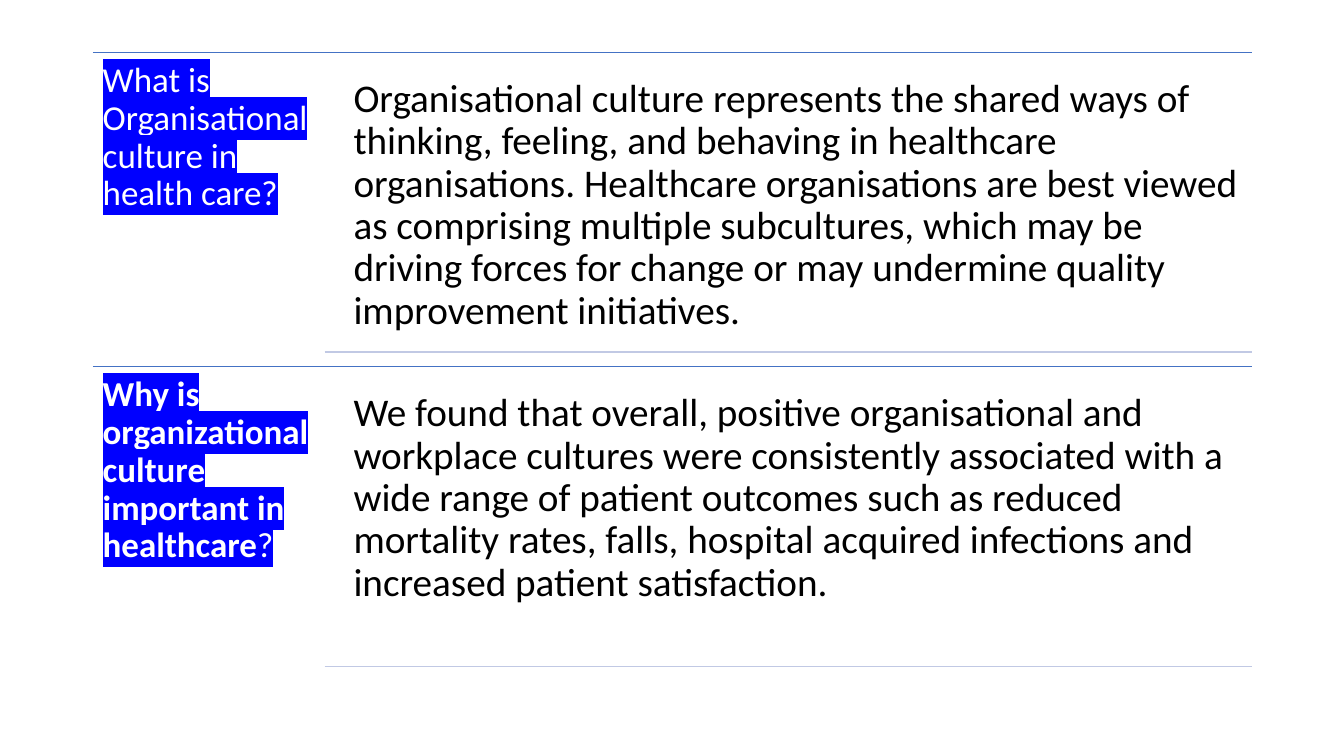
from dataclasses import dataclass

import lxml.etree
import pptx
import pptx.dml.color
import pptx.enum.shapes
import pptx.enum.text
import pptx.oxml.ns
import pptx.util

Cm = pptx.util.Cm
Pt = pptx.util.Pt
qn = pptx.oxml.ns.qn


@dataclass(frozen=True)
class Theme:
    font: str = "Calibri"
    question_size: int = 25
    answer_size: int = 28
    question_color: str = "FFFFFF"
    answer_color: str = "000000"
    highlight: str = "0000FF"
    strong_rule: str = "4472C4"
    soft_rule: str = "C1C9E4"
    rule_width: int = 1
    line_spacing: float = 0.9


class Page:
    def __init__(self, deck, theme):
        self.theme = theme
        self.slide = deck.slides.add_slide(deck.slide_layouts[6])

    def rule(self, left, right, top, color):
        line = self.slide.shapes.add_connector(
            pptx.enum.shapes.MSO_CONNECTOR.STRAIGHT, Cm(left), Cm(top), Cm(right), Cm(top))
        line.line.color.rgb = pptx.dml.color.RGBColor.from_string(color)
        line.line.width = Pt(self.theme.rule_width)
        lxml.etree.SubElement(line._element.spPr, qn("a:effectLst"))

    def text(self, left, top, width, height, inset, spans, size, color, highlight=None):
        """Add a box with one paragraph; spans holds (words, bold) pairs."""
        box = self.slide.shapes.add_textbox(Cm(left), Cm(top), Cm(width), Cm(height))
        frame = box.text_frame
        frame.word_wrap = True
        frame.vertical_anchor = pptx.enum.text.MSO_ANCHOR.TOP
        frame.margin_left = frame.margin_right = Cm(inset)
        frame.margin_top = frame.margin_bottom = Cm(inset)
        para = frame.paragraphs[0]
        para.line_spacing = self.theme.line_spacing
        for words, bold in spans:
            span = para.add_run()
            span.text = words
            span.font.name = self.theme.font
            span.font.size = Pt(size)
            span.font.bold = bold
            span.font.color.rgb = pptx.dml.color.RGBColor.from_string(color)
            if highlight:
                self.mark(span, highlight)

    def mark(self, span, color):
        """Highlight a run; the schema wants the element right after the fill."""
        marker = lxml.etree.Element(qn("a:highlight"))
        lxml.etree.SubElement(marker, qn("a:srgbClr"), val=color)
        span._r.get_or_add_rPr().find(qn("a:solidFill")).addnext(marker)

    def question(self, left, top, width, height, spans):
        self.text(left, top, width, height, 0.25, spans, self.theme.question_size,
                  self.theme.question_color, self.theme.highlight)

    def answer(self, left, top, width, height, words):
        self.text(left, top, width, height, 0.3, [(words, False)],
                  self.theme.answer_size, self.theme.answer_color)


LEFT, RIGHT = 2.34, 31.55
FIRST_TOP, ROW_HEIGHT = 1.32, 7.92
QUESTION_WIDTH = 5.84
ANSWER_LEFT, ANSWER_OFFSET, ANSWER_HEIGHT = 8.61, 0.36, 7.19

ROWS = [
    ([("What is Organisational culture in health care?", False)],
     "Organisational culture represents the shared ways of thinking, feeling, and behaving "
     "in healthcare organisations. Healthcare organisations are best viewed as comprising "
     "multiple subcultures, which may be driving forces for change or may undermine quality "
     "improvement initiatives."),
    ([("Why is organizational culture important in healthcare", True), ("?", False)],
     "We found that overall, positive organisational and workplace cultures were "
     "consistently associated with a wide range of patient outcomes such as reduced "
     "mortality rates, falls, hospital acquired infections and increased patient "
     "satisfaction."),
]


def main():
    deck = pptx.Presentation()
    deck.slide_width, deck.slide_height = Cm(33.87), Cm(19.05)
    theme = Theme()
    page = Page(deck, theme)
    for index, (question, answer) in enumerate(ROWS):
        top = FIRST_TOP + index * ROW_HEIGHT
        answer_top = top + ANSWER_OFFSET
        page.rule(LEFT, RIGHT, top, theme.strong_rule)
        page.question(LEFT, top, QUESTION_WIDTH, ROW_HEIGHT, question)
        page.answer(ANSWER_LEFT, answer_top, RIGHT - ANSWER_LEFT, ANSWER_HEIGHT, answer)
        page.rule(LEFT + QUESTION_WIDTH, RIGHT, answer_top + ANSWER_HEIGHT, theme.soft_rule)
    deck.save("out.pptx")


if __name__ == "__main__":
    main()
